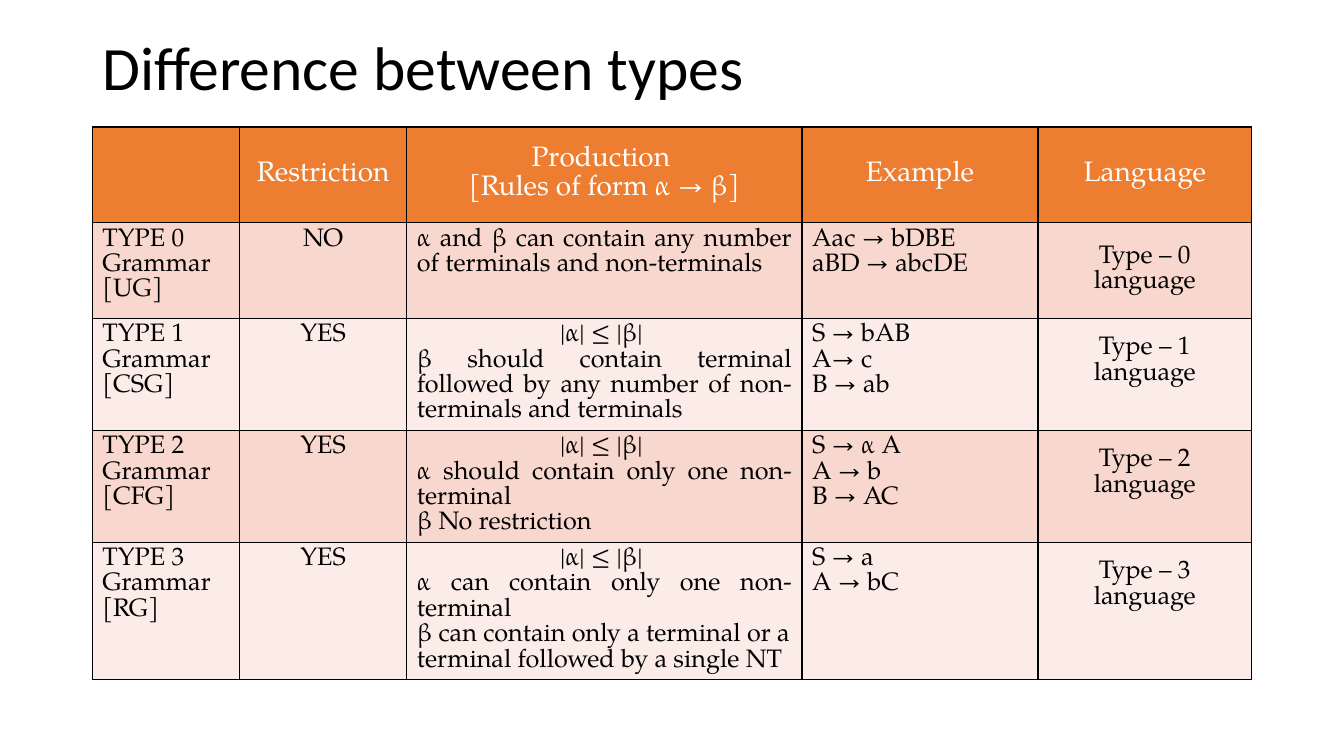
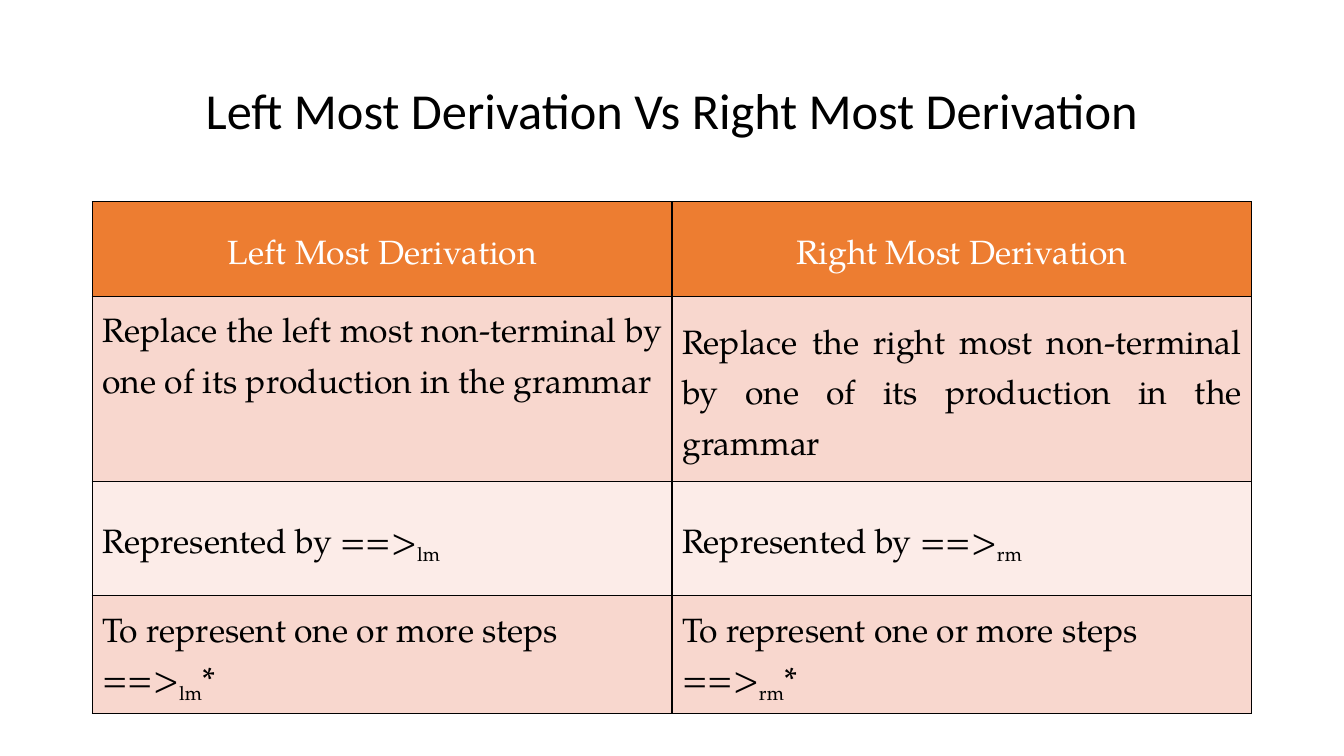
from dataclasses import dataclass

from lxml import etree
from pptx import Presentation
from pptx import util as u
from pptx.dml.color import RGBColor
from pptx.enum import text
from pptx.oxml import ns

LEFT, CENTER, JUSTIFY = text.PP_ALIGN.LEFT, text.PP_ALIGN.CENTER, text.PP_ALIGN.JUSTIFY
TOP, MIDDLE = text.MSO_ANCHOR.TOP, text.MSO_ANCHOR.MIDDLE


@dataclass(frozen=True)
class Theme:
    title_font: str = "Calibri"
    body_font: str = "TeX Gyre Pagella"
    ink: str = "000000"
    header_ink: str = "FFFFFF"
    header_fill: str = "ED7D31"
    bands: tuple = ("F8D7CE", "FCECE8")
    border_pt: float = 1
    title_size: int = 44
    subtitle_size: int = 36
    header_size: int = 20
    body_size: int = 18
    large_size: int = 24


THEME = Theme()
SLIDE_W, CONTENT_W = 13.33, 11.5
MARGIN = (SLIDE_W - CONTENT_W) / 2


def write(tf, lines, *, size, font=THEME.body_font, color=THEME.ink, align=LEFT, spacing=None):
    tf.word_wrap = True
    for i, line in enumerate(lines):
        p = tf.paragraphs[0] if i == 0 else tf.add_paragraph()
        p.alignment, runs = line if isinstance(line, tuple) else (align, line)
        if spacing:
            p.line_spacing = spacing
        for part in [runs] if isinstance(runs, str) else runs:
            r = p.add_run()
            r.text = part.removeprefix("_")
            r.font.name, r.font.size, r.font.bold = font, u.Pt(size), False
            r.font.color.rgb = RGBColor.from_string(color)
            if part.startswith("_"):
                r._r.get_or_add_rPr().set("baseline", "-25000")


def add_title(s, title, top, height, **fmt):
    sp = s.shapes.add_textbox(*map(u.Inches, (MARGIN, top, CONTENT_W, height)))
    sp.text_frame.vertical_anchor = MIDDLE
    write(sp.text_frame, [title], font=THEME.title_font, spacing=0.9, **fmt)


def style_cell(cell, fill, anchor):
    tcPr = cell._tc.get_or_add_tcPr()
    for side in ("a:lnL", "a:lnR", "a:lnT", "a:lnB"):
        ln = etree.SubElement(tcPr, ns.qn(side), w=str(u.Pt(THEME.border_pt)))
        solid = etree.SubElement(ln, ns.qn("a:solidFill"))
        etree.SubElement(solid, ns.qn("a:srgbClr"), val=THEME.ink)
    cell.fill.solid()
    cell.fill.fore_color.rgb = RGBColor.from_string(fill)
    cell.vertical_anchor = anchor


def add_table(s, rows, top, widths, heights, *, header_size, body_size, aligns, anchors, spacings):
    box = map(u.Inches, (MARGIN, top, CONTENT_W, sum(heights)))
    tbl = s.shapes.add_table(len(rows), len(widths), *box).table
    tbl.horz_banding = False
    for col, w in zip(tbl.columns, widths):
        col.width = u.Inches(w)
    for i, (row, h, spacing) in enumerate(zip(rows, heights, spacings)):
        tbl.rows[i].height = u.Inches(h)
        for j, lines in enumerate(row):
            cell = tbl.cell(i, j)
            if i == 0:
                style_cell(cell, THEME.header_fill, MIDDLE)
                write(cell.text_frame, lines, size=header_size, color=THEME.header_ink,
                      align=CENTER, spacing=spacing)
            else:
                style_cell(cell, THEME.bands[(i - 1) % 2], anchors[i - 1][j])
                write(cell.text_frame, lines, size=body_size, align=aligns[j], spacing=spacing)
    return tbl


def types_slide(s):
    add_title(s, "Difference between types", 0.14, 1.12, size=THEME.title_size)
    shorter = (CENTER, "|α| ≤ |β| ")
    grammars = [
        ("UG", "NO", ["α and β can contain any number of terminals and non-terminals"],
         ["Aac → bDBE", "aBD → abcDE"]),
        ("CSG", "YES", [shorter, "β should contain terminal followed by any number of "
                        "non-terminals and terminals"],
         ["S → bAB", "A→ c", "B → ab"]),
        ("CFG", "YES", [shorter, "α should contain only one non-terminal",
                        (LEFT, "β No restriction")],
         ["S → α A", "A → b", "B → AC"]),
        ("RG", "YES", [shorter, "α can contain only one non-terminal",
                       (LEFT, "β can contain only a terminal or a terminal followed by a single NT")],
         ["S → a", "A → bC"]),
    ]
    rows = [[[], ["Restriction"], ["Production ", "[Rules of form α → β]"], ["Example"], ["Language"]]]
    for n, (short, restriction, production, example) in enumerate(grammars):
        rows.append([[f"TYPE {n} Grammar", f"[{short}]"], [restriction], production, example,
                     [f"Type – {n} language"]])
    tbl = add_table(s, rows, 1.26, [1.46, 1.66, 3.92, 2.34, 2.12], [0.95, 0.95, 1.11, 1.11, 1.36],
                    header_size=THEME.header_size, body_size=THEME.body_size,
                    aligns=[LEFT, CENTER, JUSTIFY, LEFT, CENTER], anchors=[[TOP] * 5] * 4,
                    spacings=[None] + [u.Pt(18.1)] * 4)
    for i, inset in enumerate([0.22, 0.18, 0.18, 0.18], 1):
        tbl.cell(i, 4).margin_top = u.Inches(inset)


def derivation_slide(s):
    add_title(s, "Left Most Derivation Vs Right Most Derivation", 0.4, 1.45,
              size=THEME.subtitle_size, align=CENTER)
    sides = [("left", "_lm"), ("right", "_rm")]
    rows = [
        [[f"{side.title()} Most Derivation"] for side, _ in sides],
        [[(JUSTIFY, f"Replace the {side} most non-terminal by one of its production in the grammar")]
         for side, _ in sides],
        [[["Represented by ==>", sub]] for _, sub in sides],
        [[["To represent one or more steps ==>", sub, "*"]] for _, sub in sides],
    ]
    tbl = add_table(s, rows, 2, [CONTENT_W / 2] * 2, [0.94, 1.84, 1.13, 1.17],
                    header_size=THEME.large_size, body_size=THEME.large_size, aligns=[LEFT] * 2,
                    anchors=[[TOP, MIDDLE], [MIDDLE] * 2, [TOP] * 2],
                    spacings=[1.5, u.Pt(36.2), 1.5, u.Pt(38.5)])
    for j in range(2):
        tbl.cell(3, j).margin_top = u.Inches(0.02)


def main():
    prs = Presentation()
    prs.slide_width, prs.slide_height = u.Inches(SLIDE_W), u.Inches(7.5)
    for build in (types_slide, derivation_slide):
        build(prs.slides.add_slide(prs.slide_layouts[6]))
    prs.save("out.pptx")


if __name__ == "__main__":
    main()
